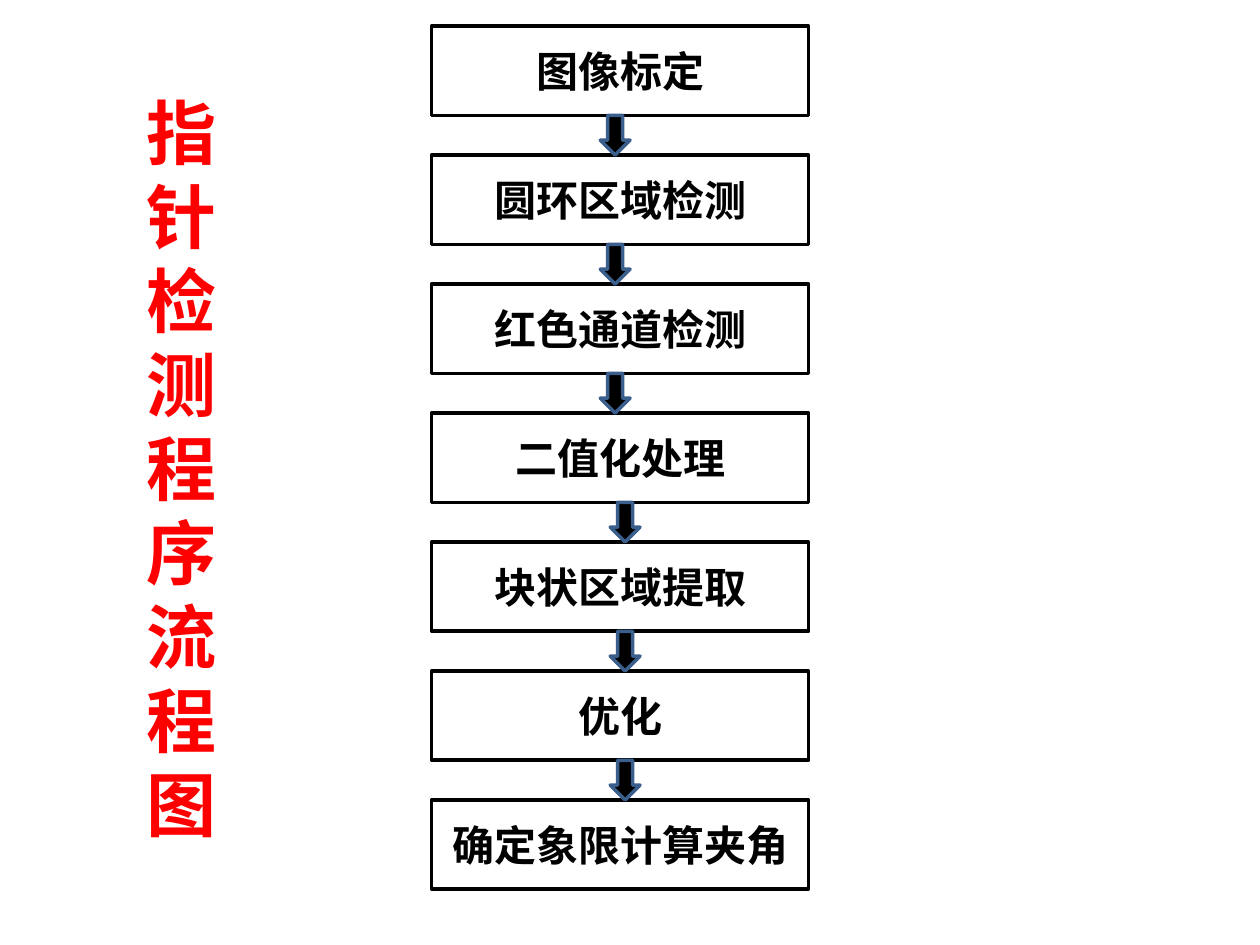
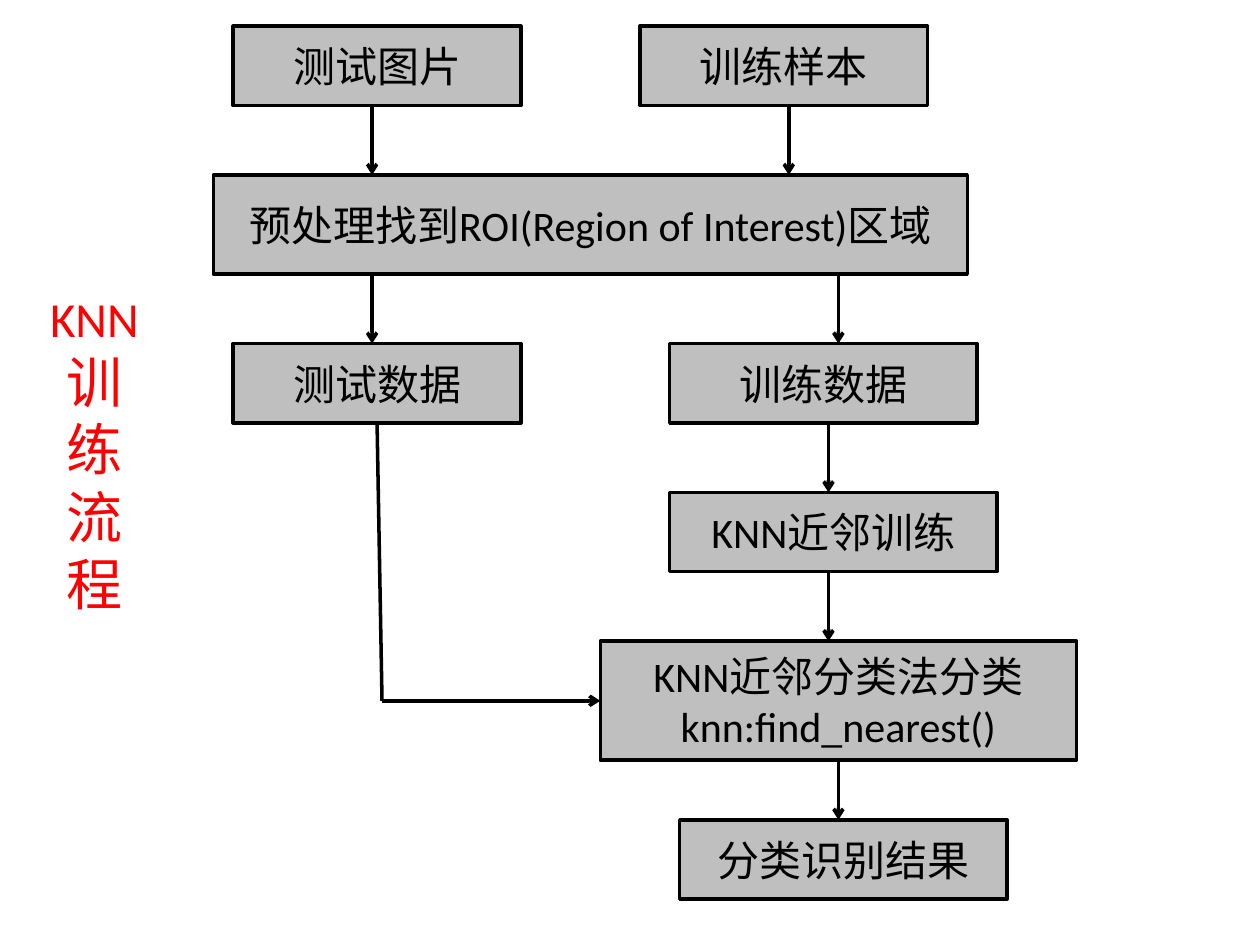
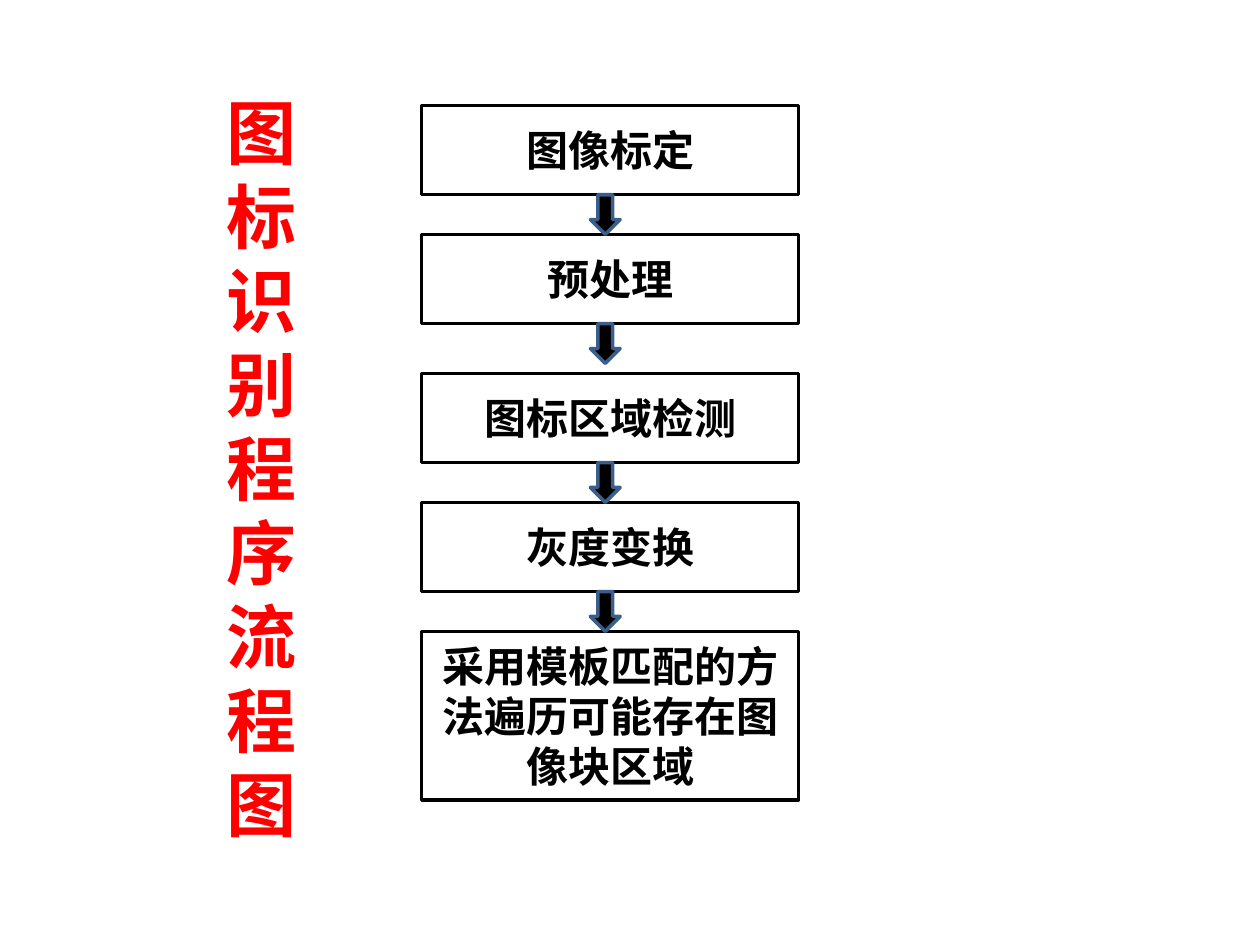
from pptx import Presentation
from pptx.dml.color import RGBColor
from pptx.enum.shapes import MSO_CONNECTOR as Connector, MSO_SHAPE as Shape
from pptx.enum.text import MSO_ANCHOR as Anchor, MSO_AUTO_SIZE as AutoSize, PP_ALIGN as Align
from pptx.oxml.ns import qn
from pptx.util import Inches, Mm, Pt
from lxml import etree

BLACK = RGBColor(0x00, 0x00, 0x00)
RED = RGBColor(0xFF, 0x00, 0x00)
GREY = RGBColor(0xBF, 0xBF, 0xBF)
BLUE = RGBColor(0x3A, 0x5F, 0x8C)
FONT = "Calibri"
LINE_WIDTH = Pt(2)

# Content: places are (column, row, columns, rows) on a 2 mm grid
CELL, GRID_LEFT, GRID_TOP = Mm(2), Inches(0.04), Inches(0.05)
STEP_WIDTH, STEP_HEIGHT = 38, 9
ARROW_WIDTH, ARROW_HEIGHT = 3, 4
STEP_PITCH = STEP_HEIGHT + ARROW_HEIGHT

POINTER_FLOW = {
    "title": [("指针检测程序流程图", 40)],
    "title_place": (13, 7, 8, 79),
    "column": 43,
    "steps": [(text, 2 + STEP_PITCH * index, STEP_HEIGHT) for index, text in enumerate([
        "图像标定", "圆环区域检测", "红色通道检测", "二值化处理",
        "块状区域提取", "优化", "确定象限计算夹角"])],
    "arrow_columns": [60] * 3 + [61] * 3,
}

ICON_FLOW = {
    "title": [("图标识别程序流程图", 40)],
    "title_place": (21, 7, 8, 79),
    "column": 42,
    "steps": [
        ("图像标定", 10, STEP_HEIGHT),
        ("预处理", 23, STEP_HEIGHT),
        ("图标区域检测", 37, STEP_HEIGHT),
        ("灰度变换", 50, STEP_HEIGHT),
        ("采用模板匹配的方法遍历可能存在图像块区域", 63, 17),
    ],
    "arrow_columns": [59] * 4,
}

KNN_TITLE = [("KNN", 28), ("训练流程", 32)]
KNN_TITLE_PLACE = (3, 6, 12, 78)
KNN_BOXES = [
    ("测试图片", (23, 2, 29, 8)),
    ("训练样本", (64, 2, 29, 8)),
    ("预处理找到ROI(Region of Interest)区域", (21, 17, 76, 10)),
    ("测试数据", (23, 34, 29, 8)),
    ("训练数据", (67, 34, 31, 8)),
    ("KNN近邻训练", (67, 49, 33, 8)),
    ("KNN近邻分类法分类 knn:find_nearest()", (60, 64, 48, 12)),
    ("分类识别结果", (68, 82, 33, 8)),
]
# Vertical arrows: column, first row, last row
KNN_ARROWS = [(37, 10, 17), (79, 10, 17), (37, 27, 34), (84, 27, 34),
              (83, 42, 49), (83, 57, 64), (84, 76, 82)]
KNN_BEND = (38, 70)


def point(column, row):
    return int(GRID_LEFT + column * CELL), int(GRID_TOP + row * CELL)


def frame(column, row, columns, rows):
    return *point(column, row), int(columns * CELL), int(rows * CELL)


def write(shape, spans, color, bold):
    """Fill a shape with one centred paragraph of (text, size) spans."""
    text_frame = shape.text_frame
    settings = {"word_wrap": True, "auto_size": AutoSize.NONE,
                "vertical_anchor": Anchor.MIDDLE}
    for name, value in settings.items():
        setattr(text_frame, name, value)
    para = text_frame.paragraphs[0]
    para.alignment = Align.CENTER
    for text, size in spans:
        span = para.add_run()
        span.text = text
        for name, value in {"name": FONT, "size": Pt(size), "bold": bold}.items():
            setattr(span.font, name, value)
        span.font.color.rgb = color


def add_page(deck, title, place, bold):
    """Add a page whose title runs down the left side."""
    page = deck.slides.add_slide(deck.slide_layouts[5])
    box = page.shapes.title
    box.left, box.top, box.width, box.height = frame(*place)
    write(box, title, RED, bold)
    return page


def add_figure(page, kind, place, fill, line):
    figure = page.shapes.add_shape(kind, *frame(*place))
    figure.shadow.inherit = False
    if fill is None:
        figure.fill.background()
    else:
        figure.fill.solid()
        figure.fill.fore_color.rgb = fill
    figure.line.color.rgb = line
    figure.line.width = LINE_WIDTH
    return figure


def add_line(page, start, end, arrow=True):
    line = page.shapes.add_connector(Connector.STRAIGHT, *point(*start), *point(*end))
    line.line.color.rgb = BLACK
    line.line.width = LINE_WIDTH
    if arrow:
        outline = line.line._get_or_add_ln()
        etree.SubElement(outline, qn("a:tailEnd"), type="arrow")
    etree.SubElement(line._element.spPr, qn("a:effectLst"))


def add_step_flow(deck, flow):
    """Stack the steps, with a block arrow under each but the last."""
    page = add_page(deck, flow["title"], flow["title_place"], bold=True)
    for text, row, rows in flow["steps"]:
        place = (flow["column"], row, STEP_WIDTH, rows)
        box = add_figure(page, Shape.RECTANGLE, place, None, BLACK)
        write(box, [(text, 24)], BLACK, bold=True)
    for column, (_, row, rows) in zip(flow["arrow_columns"], flow["steps"]):
        place = (column, row + rows, ARROW_WIDTH, ARROW_HEIGHT)
        add_figure(page, Shape.DOWN_ARROW, place, BLACK, BLUE)


def add_knn_flow(deck):
    page = add_page(deck, KNN_TITLE, KNN_TITLE_PLACE, bold=False)
    for text, place in KNN_BOXES:
        box = add_figure(page, Shape.RECTANGLE, place, GREY, BLACK)
        write(box, [(text, 24)], BLACK, bold=False)
    for column, first, last in KNN_ARROWS:
        add_line(page, (column, first), (column, last))
    # Test data joins the classifier by way of a bend
    add_line(page, KNN_BEND, (60, 70))
    add_line(page, KNN_BEND, (37.5, 42), arrow=False)


def main():
    deck = Presentation()
    deck.slide_width, deck.slide_height = Inches(10), Inches(7.5)
    add_step_flow(deck, POINTER_FLOW)
    add_knn_flow(deck)
    add_step_flow(deck, ICON_FLOW)
    deck.save("out.pptx")


if __name__ == "__main__":
    main()
